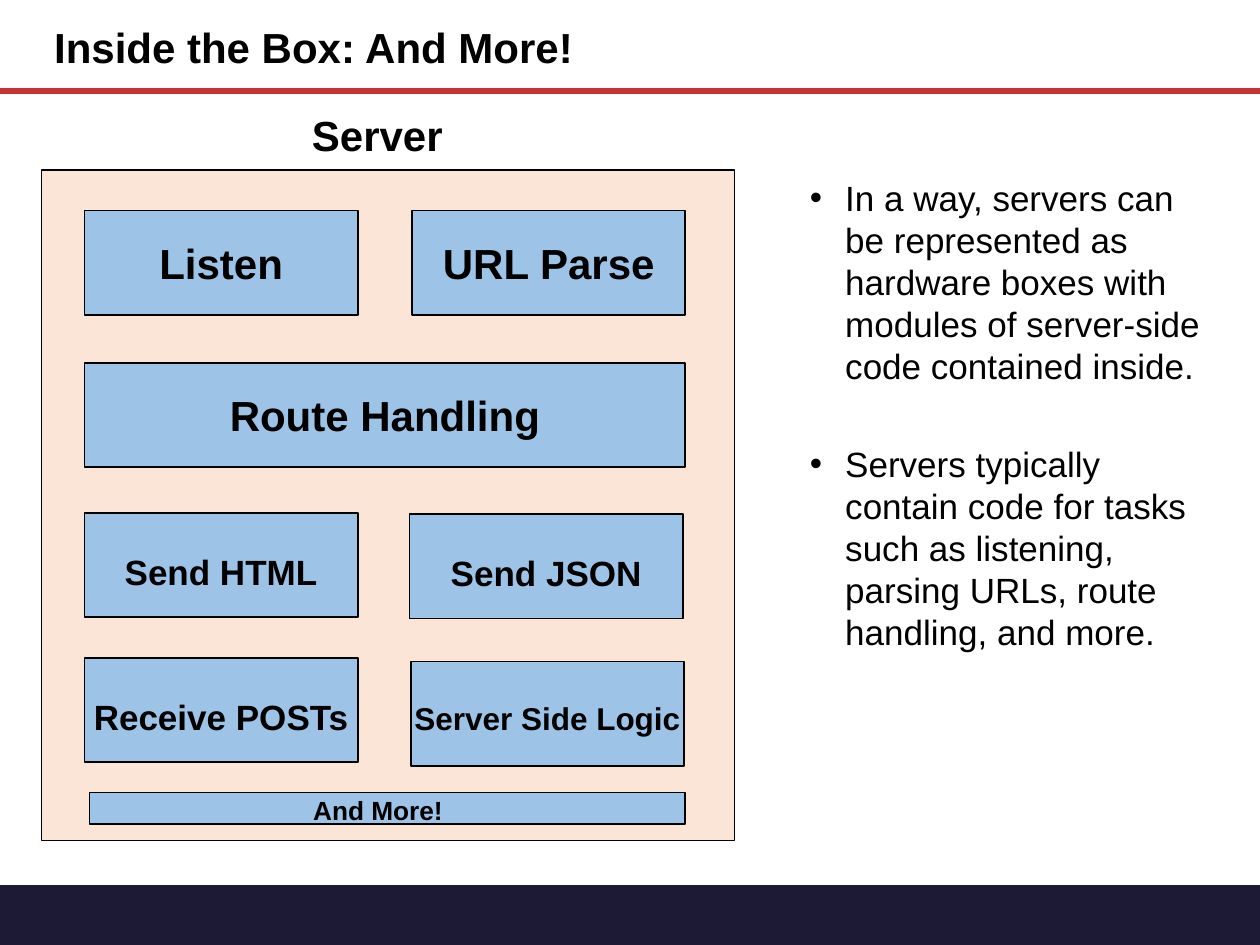
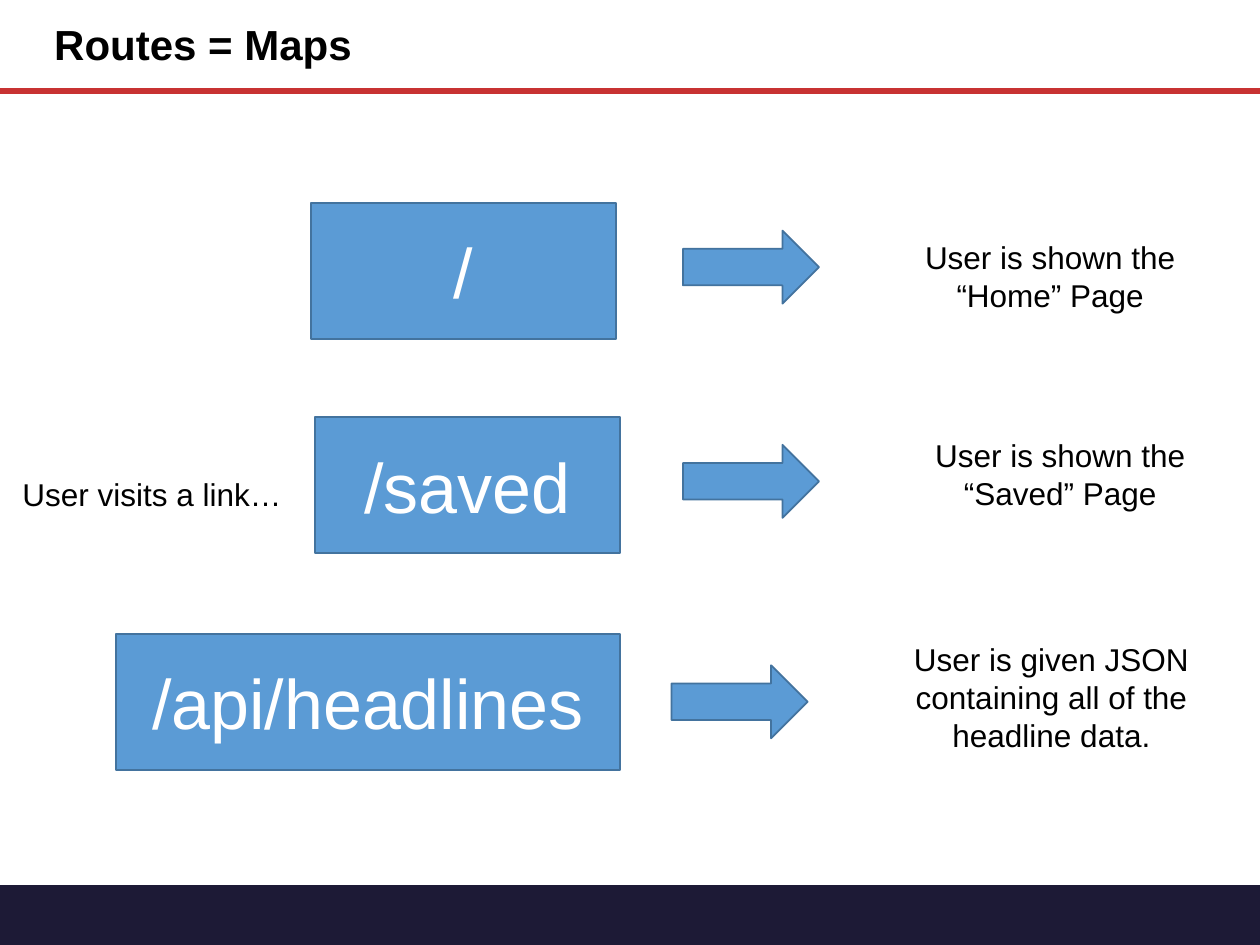
from pptx import Presentation
from pptx.dml.color import RGBColor
from pptx.enum.shapes import MSO_CONNECTOR, MSO_SHAPE
from pptx.enum.text import MSO_ANCHOR, MSO_AUTO_SIZE, PP_ALIGN
from pptx.oxml.ns import qn
from pptx.util import Inches, Pt
from lxml.etree import SubElement

FONT = "Arial"
BLACK = RGBColor(0x00, 0x00, 0x00)
WHITE = RGBColor(0xFF, 0xFF, 0xFF)
NAVY = RGBColor(0x1D, 0x1A, 0x36)
RED = RGBColor(0xC8, 0x32, 0x32)
PEACH = RGBColor(0xFB, 0xE5, 0xD6)
LIGHT_BLUE = RGBColor(0x9D, 0xC3, 0xE6)
BLUE = RGBColor(0x5B, 0x9B, 0xD5)
DARK_BLUE = RGBColor(0x43, 0x73, 0x9E)


def write(box, text, size=18, bold=False, color=BLACK, align=PP_ALIGN.CENTER,
          anchor=MSO_ANCHOR.MIDDLE, wrap=True, bullet=False, gap=0):
    frame = box.text_frame
    frame.auto_size = MSO_AUTO_SIZE.NONE
    frame.word_wrap = wrap
    frame.vertical_anchor = anchor
    for index, line in enumerate(text.split("\n")):
        para = frame.add_paragraph() if index else frame.paragraphs[0]
        if bullet:
            properties = para._p.get_or_add_pPr()
            properties.set("marL", str(Inches(0.28)))
            properties.set("indent", str(Inches(-0.28)))
            SubElement(properties, qn("a:buFont")).set("typeface", FONT)
            SubElement(properties, qn("a:buChar")).set("char", "•")
        para.alignment = align
        para.space_before = Pt(gap if index else 0)
        span = para.add_run()
        span.text = line
        span.font.name = FONT
        span.font.size = Pt(size)
        span.font.bold = bold
        span.font.color.rgb = color


def add_block(page, kind, left, top, width, height, fill, line=None):
    block = page.shapes.add_shape(kind, Inches(left), Inches(top), Inches(width), Inches(height))
    block.shadow.inherit = False
    block.fill.solid()
    block.fill.fore_color.rgb = fill
    if line is None:
        block.line.fill.background()
    else:
        block.line.color.rgb = line
        block.line.width = Pt(1)
    return block


deck = Presentation()
deck.slide_width = Inches(10)
deck.slide_height = Inches(7.5)
layout = deck.slide_layouts[5]

pages = []
for heading, top in [("Inside the Box: And More!", 0.02), ("Routes = Maps", 0)]:
    page = deck.slides.add_slide(layout)
    title = page.shapes.title
    title.left, title.top = Inches(0.33), Inches(top)
    title.width, title.height = Inches(5.98), Inches(0.7)
    write(title, heading, size=24, bold=True, align=PP_ALIGN.LEFT)
    pages.append(page)
server_page, routes_page = pages

band = add_block(server_page, MSO_SHAPE.FLOWCHART_PROCESS, 0, 7.02, 10, 0.48, NAVY)
rule = server_page.shapes.add_connector(
    MSO_CONNECTOR.STRAIGHT, Inches(0), Inches(0.72), Inches(10), Inches(0.72))
rule.line.color.rgb = RED
rule.line.width = Pt(3.25)
SubElement(rule.element.spPr, qn("a:effectLst"))
for shared in (band, rule):
    layout.shapes.element.append(shared.element)

add_block(server_page, MSO_SHAPE.RECTANGLE, 0.33, 1.35, 5.5, 5.32, PEACH, BLACK)
label = server_page.shapes.add_textbox(Inches(1.13), Inches(0.79), Inches(3.73), Inches(0.56))
write(label, "Server", size=24, bold=True)

modules = [
    ("Listen", 0.67, 1.67, 2.17, 0.83, 24, 0),
    ("URL Parse", 3.27, 1.67, 2.17, 0.83, 24, 0),
    ("Route Handling", 0.67, 2.88, 4.77, 0.83, 24, 0),
    ("Send HTML", 0.67, 4.07, 2.17, 0.83, 20, 0.1),
    ("Send JSON", 3.25, 4.08, 2.17, 0.83, 20, 0.1),
    ("Receive POSTs", 0.67, 5.22, 2.17, 0.83, 20, 0.1),
    ("Server Side Logic", 3.26, 5.25, 2.17, 0.83, 18, 0.06),
    ("And More!", 0.71, 6.29, 4.73, 0.25, 15, 0.02),
]
for name, left, top, width, height, size, inset in modules:
    module = add_block(server_page, MSO_SHAPE.RECTANGLE, left, top, width, height, LIGHT_BLUE, BLACK)
    frame = module.text_frame
    frame.margin_left = frame.margin_right = frame.margin_bottom = 0
    frame.margin_top = Inches(inset)
    if name == "And More!":
        frame.margin_right = Inches(0.15)
    write(module, name, size=size, bold=True, wrap=False)

summary = server_page.shapes.add_textbox(Inches(6.33), Inches(1.35), Inches(3.41), Inches(5.32))
write(summary,
      "In a way, servers can be represented as hardware boxes with modules of "
      "server-side code contained inside.\n"
      "Servers typically contain code for tasks such as listening, parsing URLs, "
      "route handling, and more.",
      size=20, align=PP_ALIGN.LEFT, anchor=MSO_ANCHOR.TOP, bullet=True, gap=32)

routes = [
    ("/", 2.47, 1.61, 2.42, 5.42, 1.83,
     "User is shown the “Home” Page", 6.92, 1.84, 0.71),
    ("/saved", 2.5, 3.31, 2.42, 5.42, 3.53,
     "User is shown the “Saved” Page", 7, 3.41, 0.71),
    ("/api/headlines", 0.92, 5.03, 4, 5.33, 5.28,
     "User is given JSON containing all of the headline data.", 6.93, 5.03, 1.01),
]
for (link, left, top, width, arrow_left, arrow_top,
     result, result_left, result_top, result_height) in routes:
    route = add_block(routes_page, MSO_SHAPE.RECTANGLE, left, top, width, 1.08, BLUE, DARK_BLUE)
    write(route, link, size=40, color=WHITE)
    add_block(routes_page, MSO_SHAPE.RIGHT_ARROW, arrow_left, arrow_top, 1.08, 0.58, BLUE, DARK_BLUE)
    outcome = routes_page.shapes.add_textbox(
        Inches(result_left), Inches(result_top), Inches(2.83), Inches(result_height))
    write(outcome, result, anchor=MSO_ANCHOR.TOP)

visit = routes_page.shapes.add_textbox(Inches(0.08), Inches(3.72), Inches(2.83), Inches(0.4))
write(visit, "User visits a link…", align=PP_ALIGN.LEFT, anchor=MSO_ANCHOR.TOP)

deck.save("out.pptx")
